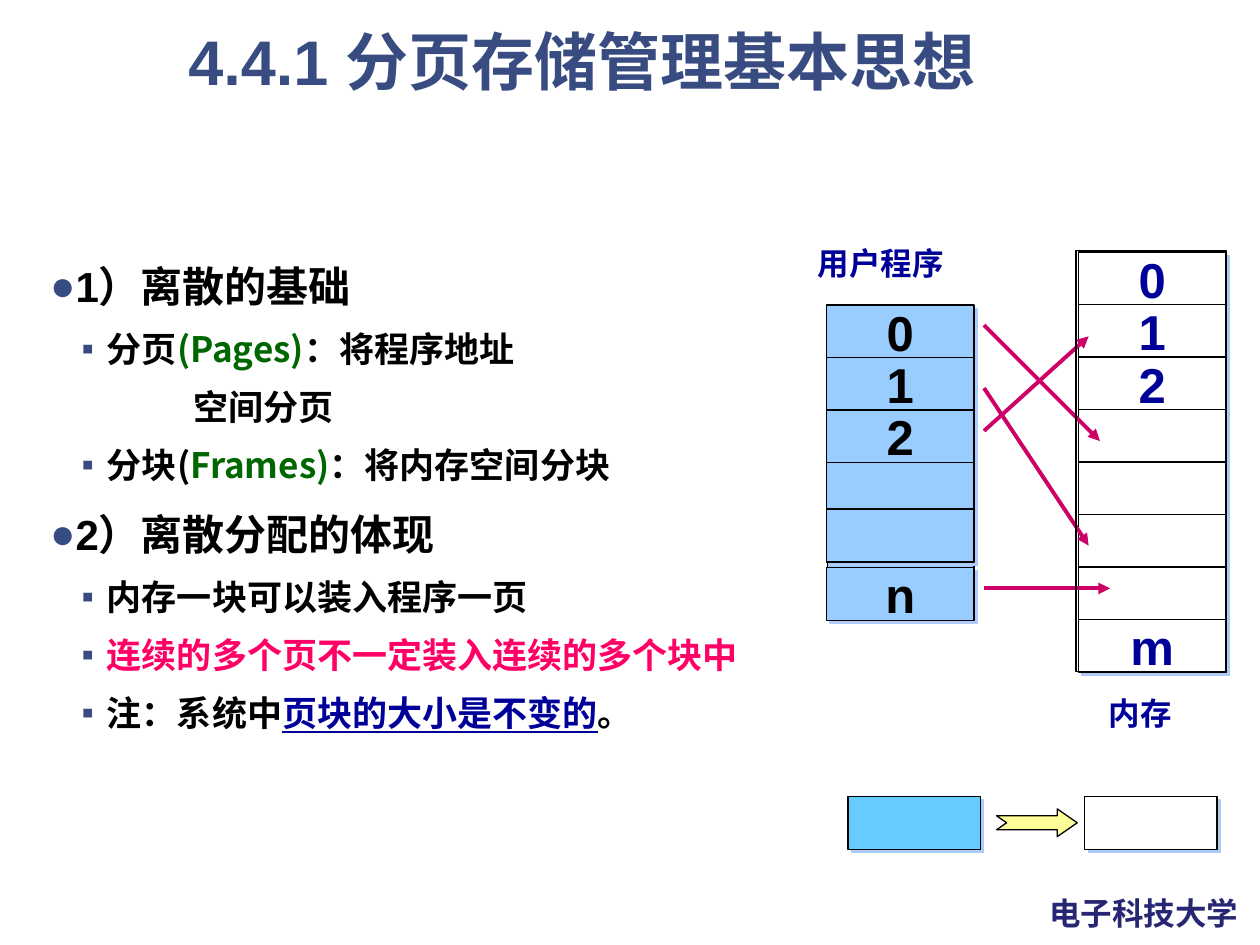
from lxml.etree import SubElement
from pptx import Presentation
from pptx.dml.color import RGBColor
from pptx.enum.shapes import MSO_CONNECTOR as Connector, MSO_SHAPE as Shape
from pptx.enum.text import MSO_ANCHOR as Anchor, PP_ALIGN as Align
from pptx.oxml.ns import qn
from pptx.util import Inches, Pt

BLACK, WHITE, NAVY, SLATE = "000000", "FFFFFF", "000099", "384C81"
GREEN, PINK = "006600", "FF0066"
CELL_WIDTH, CELL_HEIGHT = 1.17, 0.42
PITCH = 5 / 12


def color(value):
    return RGBColor.from_string(value)


def style(paragraph, size, tint, name="Arial"):
    font = paragraph.font
    font.size, font.bold, font.name = Pt(size), True, name
    font.color.rgb = color(tint)
    properties = paragraph._p.get_or_add_pPr().find(qn("a:defRPr"))
    east_asian = SubElement(properties, qn("a:ea"))
    east_asian.set("typeface", "Noto Sans CJK SC")


def add_label(slide, box, text, size, tint, wrap=False):
    frame = slide.shapes.add_textbox(*map(Inches, box)).text_frame
    frame.word_wrap = wrap
    paragraph = frame.paragraphs[0]
    paragraph.text = text
    style(paragraph, size, tint)
    return frame


def add_bullet(paragraph, character):
    properties = paragraph._p.get_or_add_pPr()
    tint = SubElement(SubElement(properties, qn("a:buClr")), qn("a:srgbClr"))
    tint.set("val", SLATE)
    SubElement(properties, qn("a:buFont")).set("typeface", "Arial")
    SubElement(properties, qn("a:buChar")).set("char", character)


def add_shadow(shape):
    effects = shape._element.spPr.find(qn("a:effectLst"))
    shadow = SubElement(effects, qn("a:outerShdw"), blurRad="0",
                        dist=str(Pt(2.8)), dir="2700000", algn="ctr", rotWithShape="0")
    SubElement(shadow, qn("a:srgbClr"), val="ACCBF9")


def add_block(slide, box, fill=None, text="", tint=BLACK, kind=Shape.RECTANGLE, shadow=True):
    shape = slide.shapes.add_shape(kind, *map(Inches, box))
    shape.shadow.inherit = False
    if shadow:
        add_shadow(shape)
    if fill:
        shape.fill.solid()
        shape.fill.fore_color.rgb = color(fill)
    else:
        shape.fill.background()
    shape.line.color.rgb = color(BLACK)
    shape.line.width = Pt(0.75)
    if text:
        frame = shape.text_frame
        frame.word_wrap = False
        frame.vertical_anchor = Anchor.MIDDLE
        paragraph = frame.paragraphs[0]
        paragraph.text = text
        paragraph.alignment = Align.CENTER
        style(paragraph, 28, tint)
    return shape


def add_arrow(slide, start, end):
    arrow = slide.shapes.add_connector(Connector.STRAIGHT, *map(Inches, start + end))
    arrow.line.color.rgb = color("CC0066")
    arrow.line.width = Pt(2.25)
    SubElement(arrow.line._get_or_add_ln(), qn("a:tailEnd"), type="triangle")
    SubElement(arrow._element.spPr, qn("a:effectLst"))


def add_title(slide, box):
    frame = add_label(slide, box, "4.4.1 分页存储管理基本思想", 36, SLATE, wrap=True)
    frame.vertical_anchor = Anchor.MIDDLE
    frame.paragraphs[0].alignment = Align.CENTER
    frame.paragraphs[0].line_spacing = 0.9


def add_outline(slide, box):
    # Kind: heading, item, or continuation of the item above
    kinds = {
        "heading": dict(left=0.5, hang=-0.2, bullet="●", size=24, before=12, name="Arial"),
        "item": dict(left=0.75, hang=-0.2, bullet="▪", size=20, before=8,
                     name="Noto Sans CJK SC"),
        "continuation": dict(left=1.44, hang=0, bullet="", size=20, before=8,
                             name="Noto Sans CJK SC"),
    }
    lines = [
        ("heading", [("1）离散的基础", BLACK)]),
        ("item", [("分页", BLACK), ("(Pages)", GREEN), ("：将程序地址", BLACK)]),
        ("continuation", [("空间分页", BLACK)]),
        ("item", [("分块(", BLACK), ("Frames)", GREEN), ("：将内存空间分块", BLACK)]),
        ("heading", [("2）离散分配的体现", BLACK)]),
        ("item", [("内存一块可以装入程序一页", BLACK)]),
        ("item", [("连续的多个页不一定装入连续的多个块中", PINK)]),
        ("item", [("注：系统中", BLACK), ("页块的大小是不变的", NAVY), ("。", BLACK)]),
    ]
    frame = slide.shapes.add_textbox(*map(Inches, box)).text_frame
    frame.word_wrap = True
    for index, (kind, runs) in enumerate(lines):
        look = kinds[kind]
        paragraph = frame.paragraphs[0] if index == 0 else frame.add_paragraph()
        properties = paragraph._p.get_or_add_pPr()
        properties.set("marL", str(Inches(look["left"])))
        properties.set("indent", str(Inches(look["hang"])))
        paragraph.line_spacing = 1.05
        paragraph.space_before = Pt(look["before"] if index else 0)
        if look["bullet"]:
            add_bullet(paragraph, look["bullet"])
        style(paragraph, look["size"], runs[0][1], look["name"])
        for text, tint in runs:
            run = paragraph.add_run()
            run.text = text
            if tint != runs[0][1]:
                run.font.color.rgb = color(tint)
            if tint == NAVY:
                run.font.underline = True


def add_program(slide, left, top):
    add_block(slide, (left + 0.01, top + 0.01, 1.16, 2.47), "99CCFF", shadow=False)
    offsets = [row * PITCH for row in range(4)] + [1.62, 5 * PITCH]
    for offset, text in zip(offsets, ["0", "1", "2", "", "", "n"]):
        add_block(slide, (left, top + offset, CELL_WIDTH, CELL_HEIGHT), "99CCFF", text)
    add_label(slide, (left - 0.17, top - 0.53, 1.53, 0.5), "用户程序", 18, NAVY)


def add_memory(slide, left, top):
    for row, text in enumerate(["0", "1", "2", "", "", "", "", "m"]):
        add_block(slide, (left, top + row * PITCH, CELL_WIDTH, CELL_HEIGHT), WHITE, text, NAVY)
    add_label(slide, (left + 0.14, top + 3.46, 0.87, 0.5), "内存", 18, NAVY)


def add_mapping(slide, left):
    for start, end_offset, end in [(2.58, 0.92, 3.5), (3.08, 0.83, 4.33),
                                   (3.42, 0.83, 2.67), (4.67, 1, 4.67)]:
        add_arrow(slide, (left, start), (left + end_offset, end))


def add_legend(slide, left, top):
    for offset, fill in [(0, "66CCFF"), (1.88, WHITE)]:
        add_block(slide, (left + offset, top, 1.05, CELL_HEIGHT), fill)
    arrow = add_block(slide, (left + 1.18, top + 0.1, 0.64, 0.22), "FFFF99",
                      kind=Shape.NOTCHED_RIGHT_ARROW, shadow=False)
    arrow.adjustments[0], arrow.adjustments[1] = 0.5, 0.72


def main():
    presentation = Presentation()
    presentation.slide_width, presentation.slide_height = Inches(10), Inches(7.5)
    slide = presentation.slides.add_slide(presentation.slide_layouts[6])
    # Footer, title and outline
    add_label(slide, (8.23, 7.05, 1.73, 0.4), "电子科技大学", 18, "262673")
    add_title(slide, (0.3, 0.22, 8.64, 0.6))
    add_outline(slide, (0, 2, 9.25, 5))
    # Pages mapped to memory frames
    add_program(slide, 6.56, 2.42)
    add_memory(slide, 8.56, 2)
    add_legend(slide, 6.73, 6.32)
    add_mapping(slide, 7.81)
    # Border around memory
    add_block(slide, (8.54, 1.99, 1.19, 3.34), shadow=False)
    presentation.save("out.pptx")


if __name__ == "__main__":
    main()
